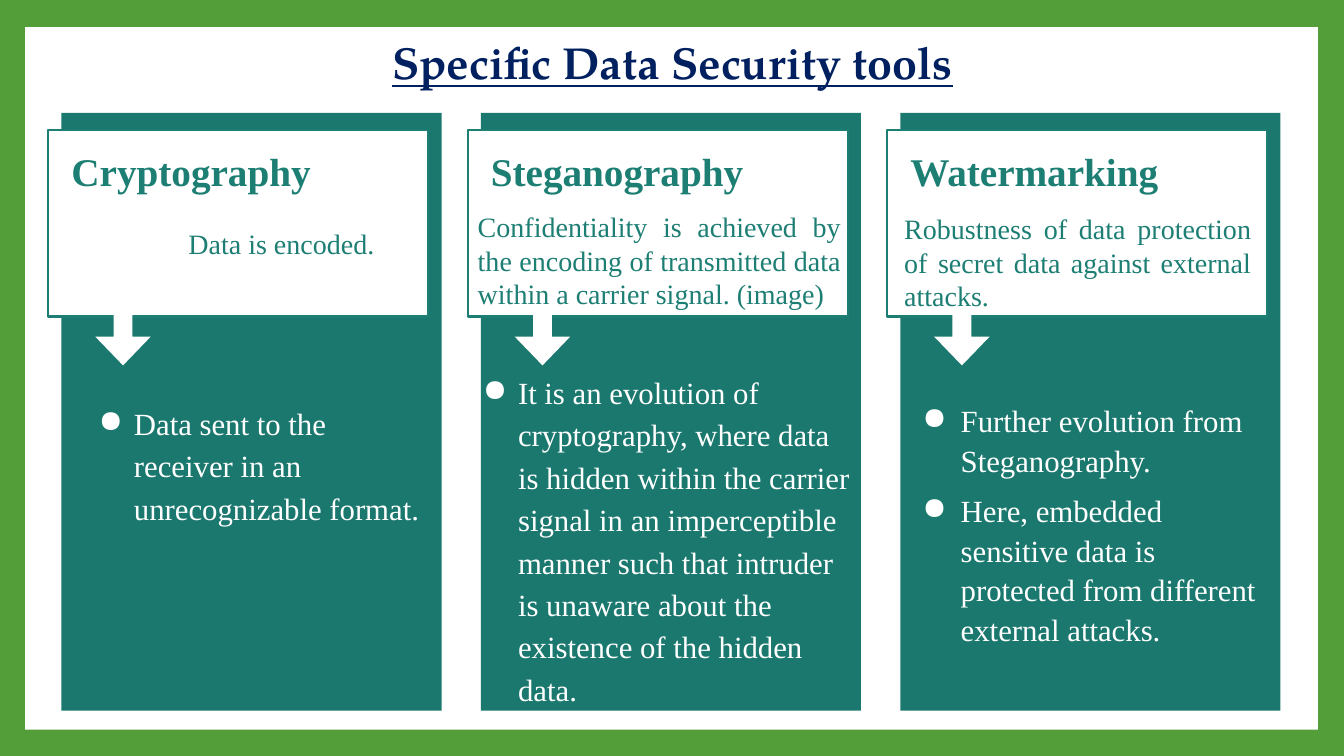
from dataclasses import dataclass

from lxml import etree
from pptx import Presentation
from pptx.dml.color import RGBColor
from pptx.enum.shapes import MSO_SHAPE
from pptx.enum.text import PP_ALIGN
from pptx.oxml.ns import qn
from pptx.util import Inches, Pt

RECT, ARROW = MSO_SHAPE.RECTANGLE, MSO_SHAPE.RIGHT_ARROW
LEFT, CENTER, JUSTIFY = PP_ALIGN.LEFT, PP_ALIGN.CENTER, PP_ALIGN.JUSTIFY


@dataclass(frozen=True)
class Theme:
    """Colours, fonts and type sizes of the slide."""
    frame: str = "549E39"
    white: str = "FFFFFF"
    navy: str = "002060"
    panel: str = "1B786E"
    teal: str = "1D7E74"
    serif: str = "Times New Roman"
    display: str = "TeX Gyre Pagella"
    title: int = 32
    head: int = 28
    bullet: int = 22
    brief: int = 20


@dataclass(frozen=True)
class Column:
    """Wording of one tool, with the text boxes placed relative to its panel."""
    head: str
    brief: str
    brief_box: tuple
    points: tuple
    point_box: tuple
    indent: float = 0.5
    hang: float = 0.35
    spacing: float = 1.15
    after: int = 0


THEME = Theme()
START, PITCH, TOP = 0.61, 4.16, 1.12
COLUMNS = (
    Column("Cryptography", "Data is encoded.", (1.16, 2.15, 3.58, 0.88),
           ("Data sent to the receiver in an unrecognizable format.",),
           (0.12, 3.86, 3.65, 2.06)),
    Column("Steganography",
           "Confidentiality is achieved by the encoding of transmitted data "
           "within a carrier signal. (image)", (-0.13, 1.98, 3.8, 0.88),
           ("It is an evolution of cryptography, where data is hidden within "
            "the carrier signal in an imperceptible manner such that intruder "
            "is unaware about the existence of the hidden data.",),
           (-0.23, 3.55, 4.04, 2.06)),
    Column("Watermarking",
           "Robustness of data protection of secret data against external "
           "attacks.", (-0.06, 2, 3.64, 0.88),
           ("Further evolution from Steganography.",
            "Here, embedded sensitive data is protected from different "
            "external attacks."),
           (0.12, 3.86, 3.65, 2.06), 0.38, 0.38, 1.07, 8),
)


def add_block(slide, box, fill, line=None, kind=RECT):
    """Add a filled preset shape, outlined if a line colour is given."""
    shape = slide.shapes.add_shape(kind, *map(Inches, box))
    shape.shadow.inherit = False
    shape.fill.solid()
    shape.fill.fore_color.rgb = RGBColor.from_string(fill)
    if line:
        shape.line.color.rgb = RGBColor.from_string(line)
        shape.line.width = Pt(1.5)
    else:
        shape.line.fill.background()
    return shape


def add_text(slide, box, lines, size, color, align=LEFT, font=THEME.serif,
             bold=False, under=False):
    """Add a wrapped text box with one style and return its paragraphs."""
    frame = slide.shapes.add_textbox(*map(Inches, box)).text_frame
    frame.word_wrap = True
    frame.margin_left = frame.margin_right = Inches(0.1)
    frame.margin_top = frame.margin_bottom = Inches(0.1)
    frame.text = "\n".join(lines)
    for para in frame.paragraphs:
        para.alignment = align
        for run in para.runs:
            run.font.name = font
            run.font.size = Pt(size)
            run.font.bold = bold
            run.font.underline = under
            run.font.color.rgb = RGBColor.from_string(color)
    return frame.paragraphs


def add_bullet(para, column):
    """Give a paragraph a white round bullet and its column's spacing."""
    para.line_spacing = column.spacing
    para.space_after = Pt(column.after)
    props = para._p.get_or_add_pPr()
    props.set("marL", str(Inches(column.indent)))
    props.set("indent", str(-Inches(column.hang)))
    tint = etree.SubElement(props, qn("a:buClr"))
    etree.SubElement(tint, qn("a:srgbClr"), val=THEME.white)
    etree.SubElement(props, qn("a:buChar"), char="●")


def add_arrow(slide, left):
    """Add the white arrow that points down from the card."""
    arrow = add_block(slide, (left, 3.1, 0.5, 0.55), THEME.white, kind=ARROW)
    arrow.rotation = 90
    arrow.adjustments[0] = 0.34
    arrow.adjustments[1] = 0.57


def add_column(slide, left, column):
    """Add one tool: panel, card, brief, heading, arrow and bullets."""
    def shift(box):
        return (left + box[0], *box[1:])

    add_block(slide, (left, TOP, 3.77, 5.93), THEME.panel)
    add_block(slide, (left - 0.13, TOP + 0.17, 3.77, 1.85), THEME.white, THEME.teal)
    add_text(slide, shift(column.brief_box), [column.brief], THEME.brief,
             THEME.teal, JUSTIFY)
    add_text(slide, (left, 1.36, 3.58, 0.98), [column.head], THEME.head,
             THEME.teal, bold=True)
    add_arrow(slide, left + 0.36)
    for para in add_text(slide, shift(column.point_box), column.points,
                         THEME.bullet, THEME.white):
        add_bullet(para, column)


def main():
    """Build and save the slide."""
    deck = Presentation()
    deck.slide_width, deck.slide_height = Inches(13.33), Inches(7.5)
    slide = deck.slides.add_slide(deck.slide_layouts[6])
    ground = slide.background.fill
    ground.solid()
    ground.fore_color.rgb = RGBColor.from_string(THEME.frame)
    add_block(slide, (0.25, 0.27, 12.82, 6.97), THEME.white)
    add_text(slide, (2.88, 0.24, 7.58, 0.82), ["Specific Data Security tools"],
             THEME.title, THEME.navy, CENTER, THEME.display, True, True)
    for index, column in enumerate(COLUMNS):
        add_column(slide, START + index * PITCH, column)
    deck.save("out.pptx")


if __name__ == "__main__":
    main()
